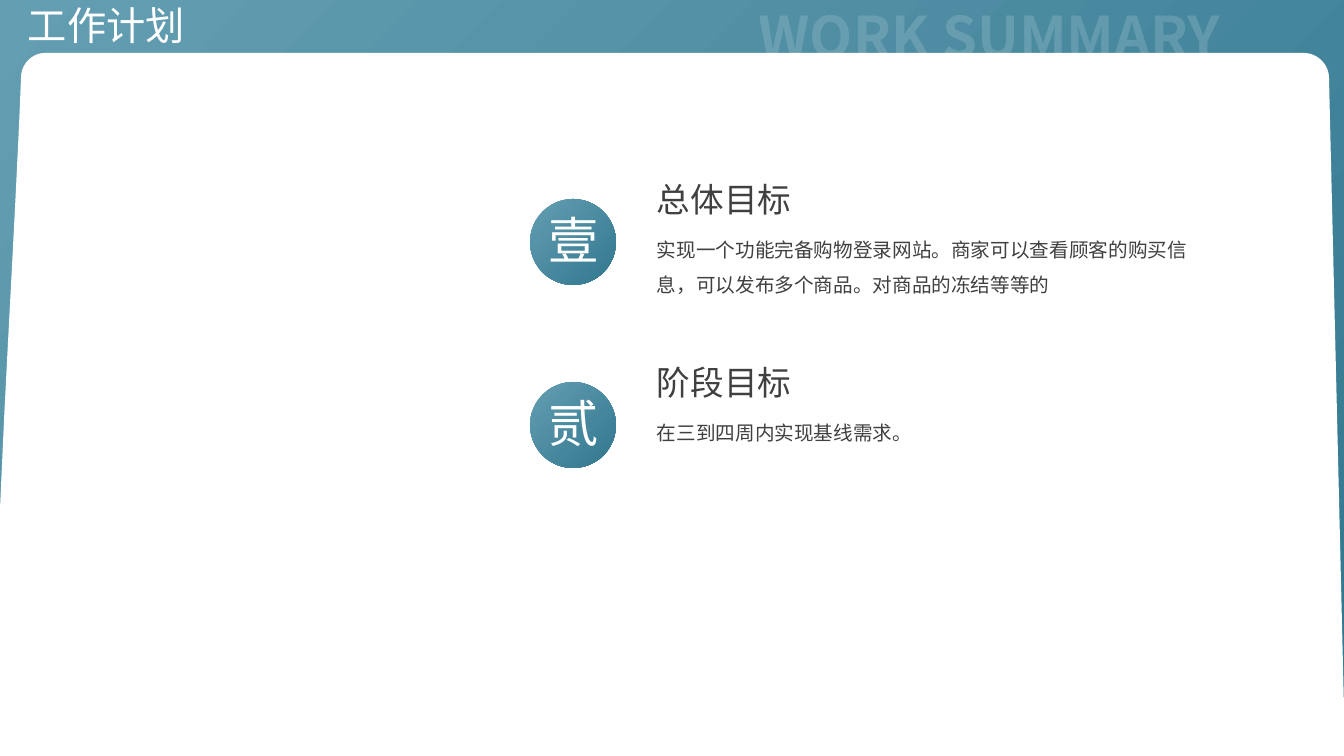
from pptx import Presentation
from pptx.dml.color import RGBColor as Rgb
from pptx.enum.shapes import MSO_SHAPE as Kind
from pptx.enum.text import MSO_AUTO_SIZE as Fit, PP_ALIGN as Align
from pptx.oxml.ns import qn
from pptx.util import Pt
from lxml.etree import SubElement as Sub

SCALE = 914400 / 100.8  # EMU in one px
WIDE, HIGH = 1344, 756
FONT = "Noto Sans CJK SC"
HUES = {"light": "649EB2", "dark": "31778E", "white": "FFFFFF", "ink": "404040"}
GOALS = [
    ("壹", "总体目标", 82,
     "实现一个功能完备购物登录网站。商家可以查看顾客的购买信息，"
     "可以发布多个商品。对商品的冻结等等的"),
    ("贰", "阶段目标", 45, "在三到四周内实现基线需求。"),
]
TOP, STEP = 174, 183  # first goal, and the distance to the next

# Text formats
HEAD = {"size": Pt(28), "hue": "white", "align": Align.JUSTIFY}
GHOST = {"size": Pt(40), "bold": True, "hue": "white", "alpha": 14,
         "align": Align.JUSTIFY, "gap": 1.2}
NAME = {"size": Pt(24), "hue": "ink", "align": Align.JUSTIFY}
BODY = {"size": Pt(14), "hue": "ink", "gap": 1.5}
MARK = {"size": Pt(36), "hue": "white", "align": Align.CENTER}


def emu(*vals):
    return [round(v * SCALE) for v in vals]


def color(key):
    return Rgb.from_string(HUES[key])


def add_grad(slide, kind, *box):
    """Preset shape with the diagonal teal gradient."""
    shape = slide.shapes.add_shape(kind, *emu(*box))
    shape.shadow.inherit = False
    shape.line.fill.background()
    shape.fill.gradient()
    shape.fill.gradient_angle = 315
    for stop, key in zip(shape.fill.gradient_stops, ("light", "dark")):
        stop.color.rgb = color(key)
    return shape


def add_text(slide, text, form, *box):
    frame = slide.shapes.add_textbox(*emu(*box)).text_frame
    frame.word_wrap = True
    frame.auto_size = Fit.SHAPE_TO_FIT_TEXT
    para = frame.paragraphs[0]
    para.alignment = form.get("align")
    para.line_spacing = form.get("gap")
    run = para.add_run()
    run.text = text
    font = run.font
    for key, val in {"name": FONT, **form}.items():
        if key in ("name", "size", "bold"):
            setattr(font, key, val)
    font.color.rgb = color(form["hue"])
    props = run._r.get_or_add_rPr()
    Sub(props, qn("a:ea"), typeface=FONT)
    if "alpha" in form:
        tint = props.find(".//" + qn("a:srgbClr"))
        Sub(tint, qn("a:alpha"), val=str(form["alpha"] * 1000))


def curve(*knots, parts=16):
    """Points along a cubic curve, without its start."""
    spots = []
    for i in range(1, parts + 1):
        t = i / parts
        load = ((1 - t) ** 3, 3 * t * (1 - t) ** 2, 3 * t * t * (1 - t), t ** 3)
        spots.append(tuple(sum(w * k[ax] for w, k in zip(load, knots))
                           for ax in (0, 1)))
    return spots


def add_sheet(slide):
    """White sheet with two round corners and slanted sides."""
    spots = [
        (1304, 53),
        *curve((1304, 53), (1317, 53), (1329, 64), (1329, 78)),
        (WIDE, 708), (WIDE, HIGH), (0, HIGH), (0, 509), (4, 421),
        *curve((4, 421), (10, 300), (17, 180), (21, 78)),
        *curve((21, 78), (21, 64), (32, 53), (45, 53)),
    ]
    pen = slide.shapes.build_freeform(*emu(45, 53))
    pen.add_line_segments([emu(*spot) for spot in spots], close=True)
    sheet = pen.convert_to_shape()
    sheet.shadow.inherit = False
    sheet.line.fill.background()
    sheet.fill.solid()
    sheet.fill.fore_color.rgb = color("white")


def add_goal(slide, top, mark, name, tall, body):
    add_grad(slide, Kind.OVAL, 530, top + 25, 86, 86)
    add_text(slide, body, BODY, 647, top + 47, 561, tall)
    add_text(slide, name, NAME, 647, top, 190, 50)
    add_text(slide, mark, MARK, 519, top + 30, 109, 72)


def main():
    deck = Presentation()
    deck.slide_width, deck.slide_height = emu(WIDE, HIGH)
    slide = deck.slides.add_slide(deck.slide_layouts[6])

    # Backdrop and header
    back = add_grad(slide, Kind.ROUNDED_RECTANGLE, 0, 0, WIDE, HIGH)
    back.adjustments[0] = 0
    add_text(slide, "工作计划", HEAD, 18, -4, 289, 57)
    add_text(slide, "WORK SUMMARY", GHOST, 749, -17, 595, 85)
    add_sheet(slide)

    # Goals
    for i, goal in enumerate(GOALS):
        add_goal(slide, TOP + i * STEP, *goal)

    deck.save("out.pptx")


if __name__ == "__main__":
    main()
